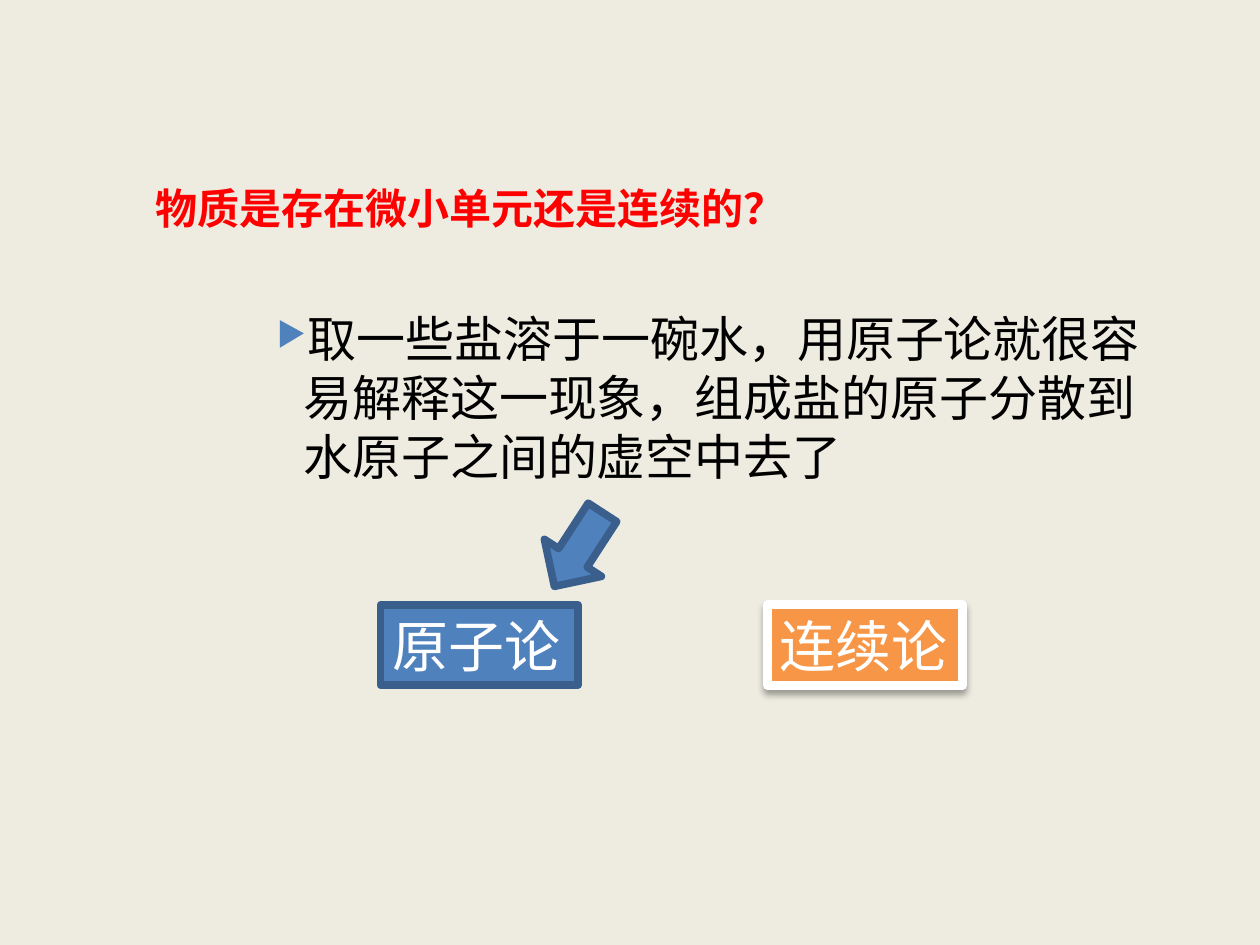
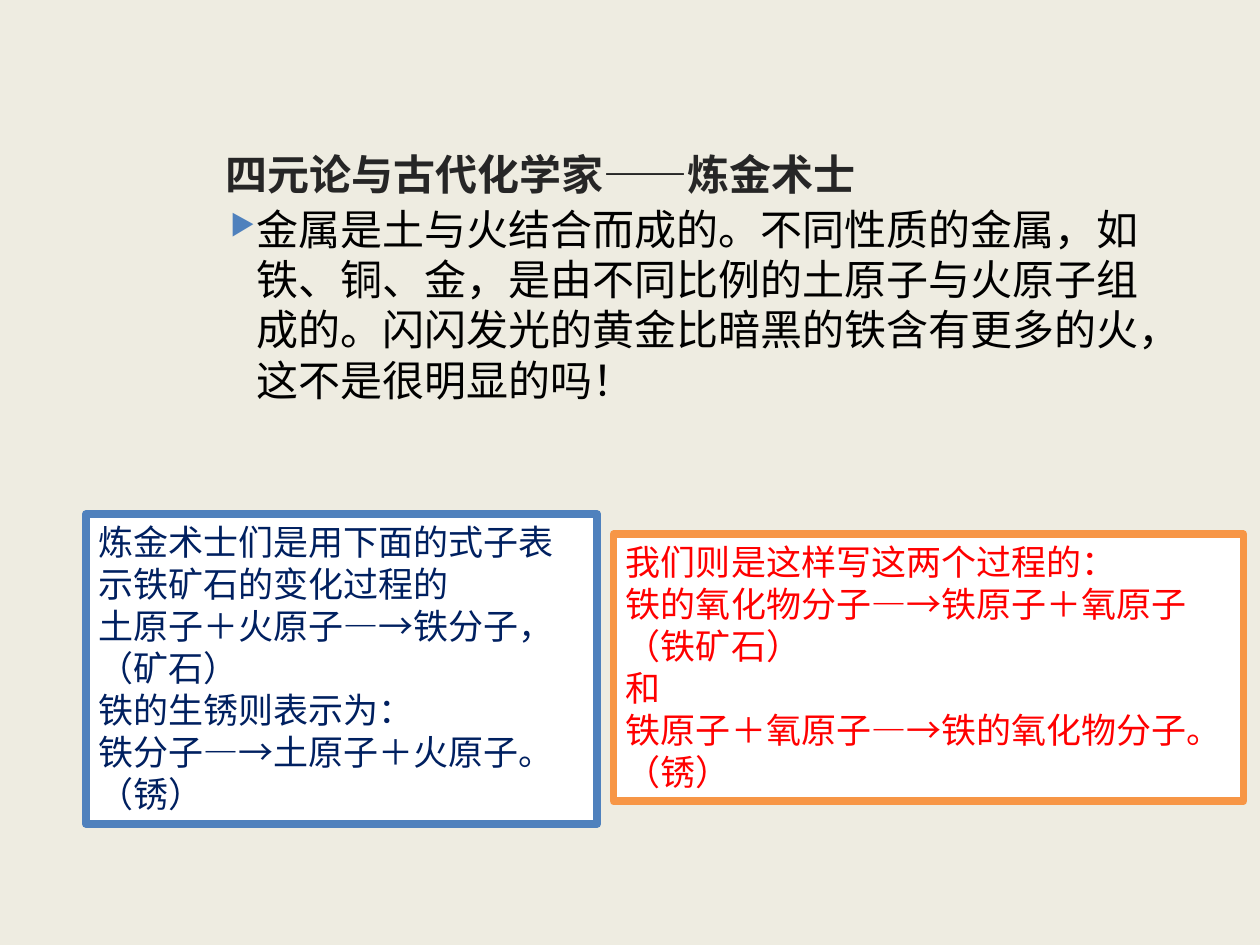
from lxml import etree
from pptx import Presentation
from pptx.dml.color import RGBColor
from pptx.enum import shapes, text
from pptx.oxml import ns
from pptx.util import Pt

FONT = "Courier New"
CREAM = RGBColor(0xEE, 0xEC, 0xE1)
WHITE = RGBColor(0xFF, 0xFF, 0xFF)
BLACK = RGBColor(0, 0, 0)
COAL = RGBColor(0x26, 0x26, 0x26)
RED = RGBColor(0xFF, 0, 0)
NAVY = RGBColor(0, 0x20, 0x60)
BLUE = RGBColor(0x4F, 0x81, 0xBD)
STEEL = RGBColor(0x3A, 0x5F, 0x8C)
AMBER = RGBColor(0xF7, 0x96, 0x46)
EDGE = 4.33

SALT = {
    "title": ("物质是存在微小单元还是连续的？", (81.4, 87, 526, 63), RED),
    "body": ("取一些盐溶于一碗水，用原子论就很容易解释这一现象，"
             "组成盐的原子分散到水原子之间的虚空中去了", (144.7, 173, 526, 238), 28),
    "boxes": [
        (["原子论"], (217.4, 345.6, 113, 46), 32, WHITE, BLUE, STEEL, EDGE),
        (["连续论"], (438.5, 345.6, 111.6, 46), 32, WHITE, AMBER, WHITE, 5),
    ],
}
METAL = {
    "title": ("四元论与古代化学家——炼金术士", (121.7, 49, 572, 101), COAL),
    "body": ("金属是土与火结合而成的。不同性质的金属，如铁、铜、金，"
             "是由不同比例的土原子与火原子组成的。闪闪发光的黄金比暗黑的铁含有更多的火，"
             "这不是很明显的吗！", (118, 112.5, 556, 109), 24),
    "boxes": [
        (["炼金术士们是用下面的式子表示铁矿石的变化过程的",
          "土原子＋火原子—→铁分子，", "（矿石）", "铁的生锈则表示为：",
          "铁分子—→土原子＋火原子。", "（锈）"],
         (49, 293.8, 292.3, 177), 20, NAVY, WHITE, BLUE, EDGE),
        (["我们则是这样写这两个过程的：", "铁的氧化物分子—→铁原子＋氧原子",
          "（铁矿石）", "和", "铁原子＋氧原子—→铁的氧化物分子。", "（锈）"],
         (350.6, 305.3, 360, 152.6), 20, RED, WHITE, AMBER, EDGE),
    ],
}
ARROW = (305.3, 294.5, 50.4, 38.9)


def add(parent, tag, **attrs):
    """Append an XML child in the drawing namespace."""
    return etree.SubElement(parent, ns.qn("a:" + tag), attrs)


def write(frame, lines, size, color, bold=False):
    """Fill a frame with left-aligned lines in one style."""
    frame.text = "\n".join(lines)
    for par in frame.paragraphs:
        par.alignment = text.PP_ALIGN.LEFT
        for run in par.runs:
            font = run.font
            font.name, font.size, font.bold = FONT, Pt(size), bold
            font.color.rgb = color


def draw(slide, kind, place, fill, edge, width):
    """Add a filled shape with a round-joined outline."""
    shape = slide.shapes.add_shape(kind, *map(Pt, place))
    shape.shadow.inherit = False
    shape.fill.solid()
    shape.fill.fore_color.rgb = fill
    shape.line.color.rgb = edge
    shape.line.width = Pt(width)
    add(shape.line._get_or_add_ln(), "round")
    return shape


def box(slide, lines, place, size, color, fill, edge, width):
    """Add a framed block of text."""
    shape = draw(slide, shapes.MSO_SHAPE.RECTANGLE, place, fill, edge, width)
    frame = shape.text_frame
    frame.word_wrap = len(lines) > 1
    frame.vertical_anchor = text.MSO_ANCHOR.TOP
    frame.auto_size = text.MSO_AUTO_SIZE.SHAPE_TO_FIT_TEXT
    write(frame, lines, size, color)
    return shape


def shade(shape):
    """Give a shape a soft shadow below it."""
    cast = add(shape._element.spPr.find(ns.qn("a:effectLst")), "outerShdw",
               blurRad=str(Pt(4)), dist=str(Pt(3)), dir="5400000", rotWithShape="0")
    add(add(cast, "srgbClr", val=str(BLACK)), "alpha", val="35000")


def bullet(par):
    """Hang a blue triangle in front of a paragraph."""
    props = par._p.get_or_add_pPr()
    props.set("marL", str(Pt(21.6)))
    props.set("indent", str(Pt(-15.1)))
    add(add(props, "buClr"), "srgbClr", val=str(BLUE))
    add(props, "buSzPct", val="68000")
    add(props, "buChar", char="▶")


def page(deck, data):
    """Build a slide with title, bulleted text and boxes."""
    slide = deck.slides.add_slide(deck.slide_layouts[5])
    words, place, size = data["body"]
    frame = slide.shapes.add_textbox(*map(Pt, place)).text_frame
    frame.word_wrap = True
    write(frame, [words], size, BLACK)
    bullet(frame.paragraphs[0])

    words, place, color = data["title"]
    title = slide.shapes.title
    title.left, title.top, title.width, title.height = map(Pt, place)
    title.text_frame.vertical_anchor = text.MSO_ANCHOR.MIDDLE
    title.text_frame.auto_size = text.MSO_AUTO_SIZE.NONE
    write(title.text_frame, [words], 24, color, True)
    return slide, [box(slide, *item) for item in data["boxes"]]


def main():
    """Build and save the deck."""
    deck = Presentation()
    deck.slide_width, deck.slide_height = Pt(720), Pt(540)
    back = deck.slide_master.background.fill
    back.solid()
    back.fore_color.rgb = CREAM

    slide, (atom, flow) = page(deck, SALT)
    shade(flow)
    arrow = draw(slide, shapes.MSO_SHAPE.RIGHT_ARROW, ARROW, BLUE, STEEL, EDGE)
    arrow.rotation = 123
    page(deck, METAL)
    deck.save("out.pptx")


if __name__ == "__main__":
    main()
